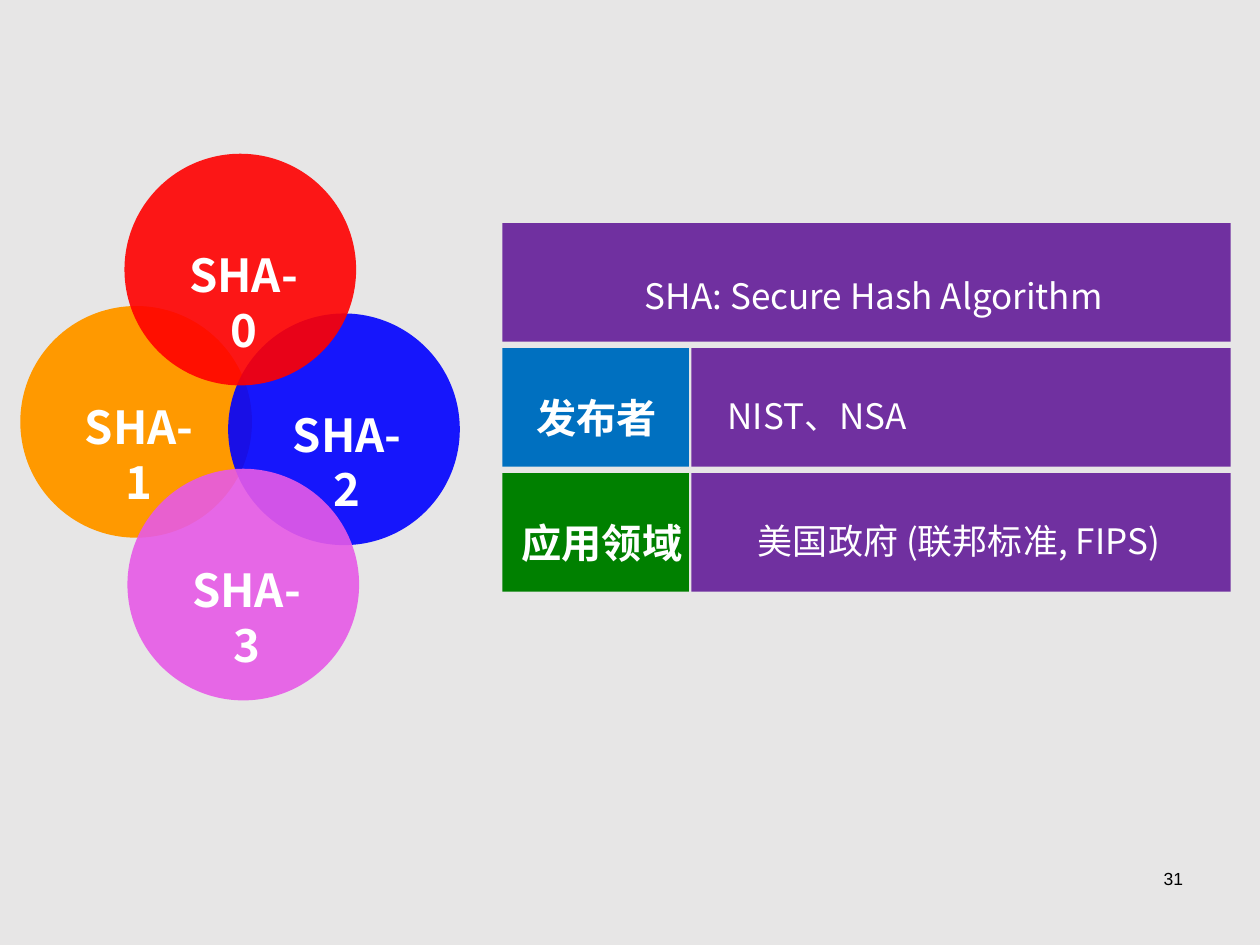
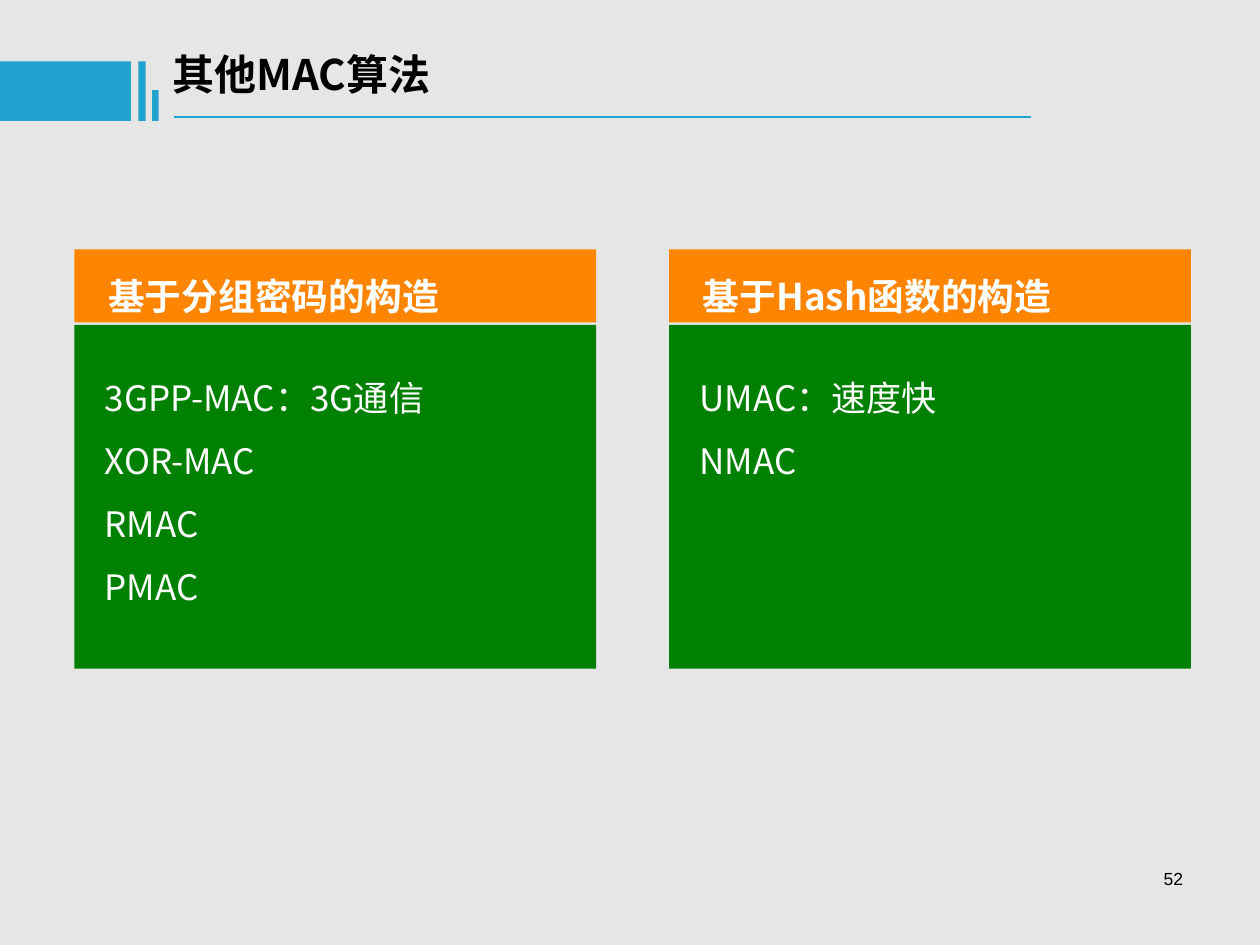
import pptx
import pptx.dml.color
import pptx.enum.shapes
import pptx.enum.text
import pptx.oxml.ns
import pptx.util
from lxml import etree
from pptx.util import Cm

FONT = "Noto Sans CJK SC"
PAPER, INK, WHITE, ACCENT = "E7E6E6", "000000", "FFFFFF", "21A3D0"
PURPLE, BLUE, GREEN, ORANGE = "7030A0", "0070C0", "008000", "FF8500"
RECT = pptx.enum.shapes.MSO_SHAPE.RECTANGLE
OVAL = pptx.enum.shapes.MSO_SHAPE.OVAL
ALIGN = pptx.enum.text.PP_ALIGN


def rgb(value):
    return pptx.dml.color.RGBColor.from_string(value)


def add_child(parent, tag, **attrs):
    return etree.SubElement(parent, pptx.oxml.ns.qn(tag), **attrs)


def add_block(s, kind, box, color, alpha=None):
    sp = s.shapes.add_shape(kind, *map(Cm, box))
    sp.shadow.inherit = False
    sp.fill.solid()
    sp.fill.fore_color.rgb = rgb(color)
    sp.line.fill.background()
    if alpha:
        clr = sp.fill._xPr.find(".//" + pptx.oxml.ns.qn("a:srgbClr"))
        add_child(clr, "a:alpha", val=str(alpha * 1000))


def add_text(s, box, lines, size, color=WHITE, bold=False, align=ALIGN.LEFT,
             spacing=None, font=FONT, insets=(0.25, 0.13)):
    tf = s.shapes.add_textbox(*map(Cm, box)).text_frame
    tf.word_wrap = True
    tf.margin_left = tf.margin_right = Cm(insets[0])
    tf.margin_top = tf.margin_bottom = Cm(insets[1])
    for i, line in enumerate(lines):
        p = tf.add_paragraph() if i else tf.paragraphs[0]
        p.alignment = align
        p.line_spacing = spacing
        r = p.add_run()
        r.text = line
        r.font.size = pptx.util.Pt(size)
        r.font.bold = bold
        r.font.color.rgb = rgb(color)
        r.font.name = font
        add_child(r.font._element, "a:ea", typeface=font)


def add_slide(prs, number):
    s = prs.slides.add_slide(prs.slide_layouts[6])
    s.background.fill.solid()
    s.background.fill.fore_color.rgb = rgb(PAPER)
    add_text(s, (18.21, 17.35, 5.92, 1.32), [number], 10, INK,
             align=ALIGN.RIGHT, font="Arial", insets=(0.28, 0.15))
    return s


def add_title(s, text, left, top):
    add_text(s, (left + 3.23, top, 17.37, 1.27), [text], 24, INK, bold=True)
    for x, y, width, height in ((0, 0.4, 2.64, 1.2), (2.79, 0.4, 0.15, 1.2),
                                (3.07, 0.98, 0.13, 0.62)):
        add_block(s, RECT, (left + x, top + y, width, height), ACCENT)
    y = top + 1.52
    rule = s.shapes.add_connector(pptx.enum.shapes.MSO_CONNECTOR.STRAIGHT,
                                  Cm(left + 3.51), Cm(y), Cm(left + 20.78), Cm(y))
    rule.line.color.rgb = rgb(ACCENT)
    rule.line.width = pptx.util.Pt(1.5)
    add_child(rule._element.spPr, "a:effectLst")


def add_circles(s, left, top):
    size = 4.67
    for name, x, y, color, alpha in (("SHA-1", 0, 3.07, "FF9900", None),
                                     ("SHA-2", 4.19, 3.22, "0000FF", 90),
                                     ("SHA-0", 2.1, 0, "FF0000", 90),
                                     ("SHA-3", 2.16, 6.35, "E65AE6", 90)):
        x, y = left + x, top + y
        add_block(s, OVAL, (x, y, size, size), color, alpha)
        add_text(s, (x + 0.81, y + 1.75, 3.18, 1.37), [name], 26,
                 bold=True, align=ALIGN.CENTER)


def add_facts(s, left, top, width):
    height, pitch, label_width, value_x = 2.39, 2.52, 3.76, 3.81
    add_block(s, RECT, (left, top, width, height), PURPLE)
    add_text(s, (left + 2.62, top + 0.48, 10.39, 1.52),
             ["SHA: Secure Hash Algorithm"], 20, spacing=1.5)
    rows = (("发布者", BLUE, 0.43, "NIST、NSA", 4.29),
            ("应用领域", GREEN, 0.13, "美国政府 (联邦标准, FIPS)", 4.9))
    for i, (label, color, label_x, value, text_x) in enumerate(rows, 1):
        y = top + i * pitch
        add_block(s, RECT, (left + value_x, y, width - value_x, height), PURPLE)
        add_text(s, (left + text_x, y + 0.38, 9.8, 1.52), [value], 20, spacing=1.5)
        add_block(s, RECT, (left, y, label_width, height), color)
        add_text(s, (left + label_x, y + 0.3, 3.96, 1.73), [label], 23,
                 bold=True, spacing=1.5)


def add_card(s, left, top, heading, items):
    width, body_y = 10.52, 1.52
    add_block(s, RECT, (left, top + body_y, width, 6.93), GREEN)
    add_text(s, (left + 0.36, top + 2.01, 9.88, 1.33 * len(items)), items, 20,
             spacing=1.5)
    add_block(s, RECT, (left, top, width, 1.47), ORANGE)
    add_text(s, (left + 0.43, top - 0.08, 9.83, 1.6), [heading], 21,
             bold=True, spacing=1.5)


def sha_slide(prs):
    s = add_slide(prs, "31")
    add_circles(s, 0.41, 3.1)
    add_facts(s, 10.13, 4.5, 14.68)


def mac_slide(prs):
    s = add_slide(prs, "52")
    add_title(s, "其他MAC算法", 0, 0.84)
    cards = (("基于分组密码的构造", ["3GPP-MAC：3G通信", "XOR-MAC", "RMAC", "PMAC"]),
             ("基于Hash函数的构造", ["UMAC：速度快", "NMAC"]))
    for i, (heading, items) in enumerate(cards):
        add_card(s, 1.5 + i * 11.99, 5.03, heading, items)


def main():
    prs = pptx.Presentation()
    prs.slide_width, prs.slide_height = Cm(25.4), Cm(19.05)
    sha_slide(prs)
    mac_slide(prs)
    prs.save("out.pptx")


if __name__ == "__main__":
    main()
